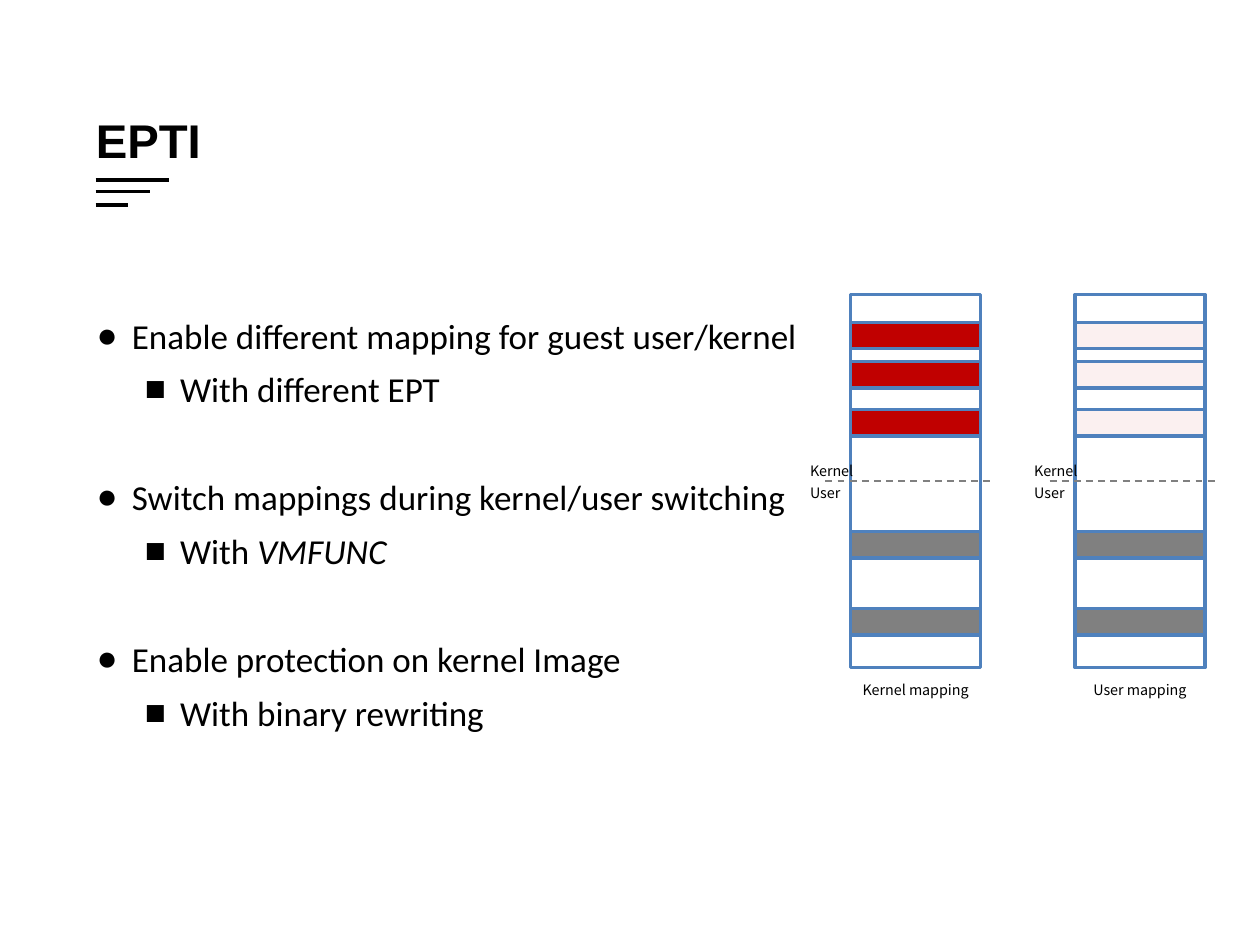
from lxml.etree import SubElement
from pptx import Presentation
from pptx.dml.color import RGBColor
from pptx.enum.dml import MSO_LINE
from pptx.enum.shapes import MSO_CONNECTOR, MSO_SHAPE
from pptx.enum.text import MSO_ANCHOR, PP_ALIGN
from pptx.oxml.ns import qn
from pptx.util import Cm, Pt

BLACK = RGBColor(0x00, 0x00, 0x00)
BLUE = RGBColor(0x4F, 0x81, 0xBD)
GRAY = RGBColor(0x80, 0x80, 0x80)
RED = RGBColor(0xC0, 0x00, 0x00)

# Bullet character and left margin (cm) of each outline level
LEVELS = [("●", 0.71), ("■", 1.68)]
HANGING = 0.71
# Each topic: heading, then the runs of its sub-point as (text, italic)
TOPICS = [
    ("Enable different mapping for guest user/kernel",
     [("With different EPT", False)]),
    ("Switch mappings during kernel/user switching",
     [("With ", False), ("VMFUNC", True)]),
    ("Enable protection on kernel Image",
     [("With binary rewriting", False)]),
]

MAP_TOP, MAP_W, MAP_H, BAND_H = 5.94, 2.62, 7.52, 0.53
KERNEL_BANDS = [6.5, 7.29, 8.26]
USER_BANDS = [10.72, 12.27]


def add_run(p, text, font, size, bold=None, italic=None):
    r = p.add_run()
    r.text = text
    r.font.name = font
    r.font.size = Pt(size)
    r.font.bold = bold
    r.font.italic = italic
    r.font.color.rgb = BLACK


def add_line(s, x1, x2, y, color, width, dash=None):
    ln = s.shapes.add_connector(
        MSO_CONNECTOR.STRAIGHT, Cm(x1), Cm(y), Cm(x2), Cm(y))
    ln.line.color.rgb = color
    ln.line.width = Pt(width)
    if dash:
        ln.line.dash_style = dash
    SubElement(ln._element.spPr, qn("a:effectLst"))


def add_box(s, x, y, h, fill=None, alpha=100):
    """Draw a memory region; alpha is the fill opacity in percent."""
    sp = s.shapes.add_shape(
        MSO_SHAPE.RECTANGLE, Cm(x), Cm(y), Cm(MAP_W), Cm(h))
    sp.shadow.inherit = False
    if fill is None:
        sp.fill.background()
    else:
        sp.fill.solid()
        sp.fill.fore_color.rgb = fill
        if alpha < 100:
            color = sp._element.spPr.find(qn("a:solidFill"))[0]
            SubElement(color, qn("a:alpha"), val=str(alpha * 1000))
    sp.line.color.rgb = BLUE
    sp.line.width = Pt(2)


def add_label(s, x, y, w, text, align=PP_ALIGN.LEFT):
    tf = s.shapes.add_textbox(Cm(x), Cm(y), Cm(w), Cm(0.71)).text_frame
    tf.word_wrap = True
    p = tf.paragraphs[0]
    p.alignment = align
    p.line_spacing = 1.3
    p.space_before = Pt(4.5)
    add_run(p, text, "Noto Sans CJK SC", 8.2)


def add_title(s, text):
    title = s.shapes.title
    title.left, title.top = Cm(1.68), Cm(2.11)
    title.width, title.height = Cm(10.9), Cm(1.42)
    tf = title.text_frame
    tf.vertical_anchor = MSO_ANCHOR.MIDDLE
    p = tf.paragraphs[0]
    p.alignment = PP_ALIGN.LEFT
    add_run(p, text, "Arial", 27, bold=True)
    for y, length in [(3.63, 1.47), (3.86, 1.09), (4.14, 0.66)]:
        add_line(s, 1.93, 1.93 + length, y, BLACK, 2.25)


def add_bullet(p, level, runs):
    char, margin = LEVELS[level]
    p.level = level
    p.line_spacing = 1.28
    pPr = p._p.get_or_add_pPr()
    pPr.set("marL", str(Cm(margin)))
    pPr.set("indent", str(-Cm(HANGING)))
    SubElement(pPr, qn("a:buFont"), typeface="Arial")
    SubElement(pPr, qn("a:buChar"), char=char)
    for text, italic in runs:
        add_run(p, text, "Calibri", 20, italic=italic)


def add_topics(s):
    tf = s.shapes.add_textbox(
        Cm(1.7), Cm(5.97), Cm(22.81), Cm(12.5)).text_frame
    tf.word_wrap = True
    for i, (heading, point) in enumerate(TOPICS):
        p = tf.add_paragraph() if i else tf.paragraphs[0]
        if i:
            p.space_before = Pt(31)
        add_bullet(p, 0, [(heading, False)])
        add_bullet(tf.add_paragraph(), 1, point)


def add_mapping(s, x, caption, kernel_alpha):
    """Draw one address space, with its kernel half above its user half."""
    add_box(s, x, MAP_TOP, MAP_H)
    add_line(s, x - 0.51, x + 2.9, MAP_TOP + MAP_H / 2, GRAY, 1,
             MSO_LINE.DASH)
    add_label(s, x - 1.07, 9.09, 1.52, "Kernel")
    add_label(s, x - 1.07, 9.53, 1.52, "User")
    for y in KERNEL_BANDS:
        add_box(s, x, y, BAND_H, RED, kernel_alpha)
    for y in USER_BANDS:
        add_box(s, x, y, BAND_H, GRAY)
    add_label(s, x - 0.69, 13.51, 4, caption, PP_ALIGN.CENTER)


def main():
    prs = Presentation()
    prs.slide_width, prs.slide_height = Cm(25.4), Cm(19.05)
    s = prs.slides.add_slide(prs.slide_layouts[5])
    add_title(s, "EPTI")
    add_topics(s)
    add_mapping(s, 17.15, "Kernel mapping", 100)
    add_mapping(s, 21.67, "User mapping", 6)
    prs.save("out.pptx")


if __name__ == "__main__":
    main()
